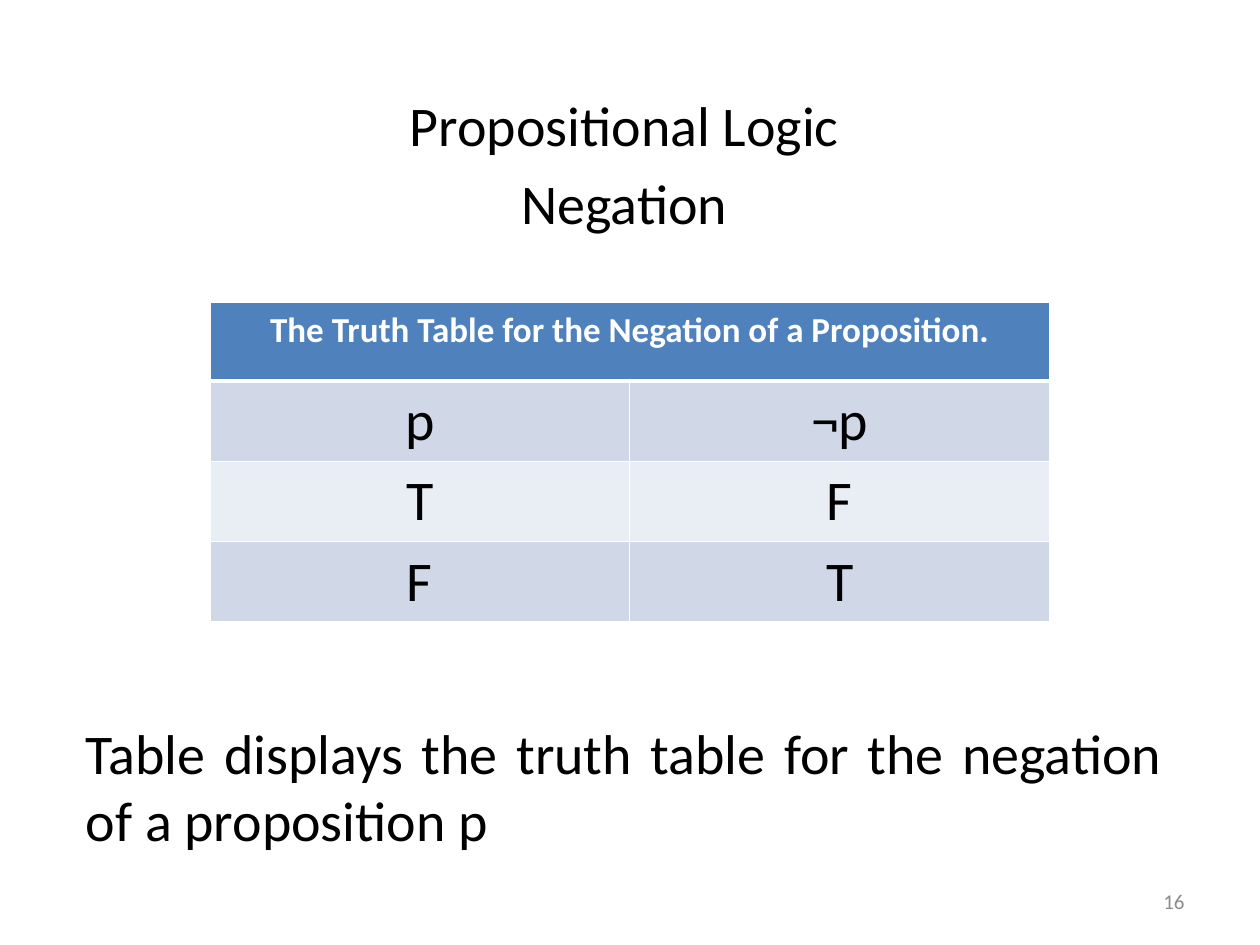
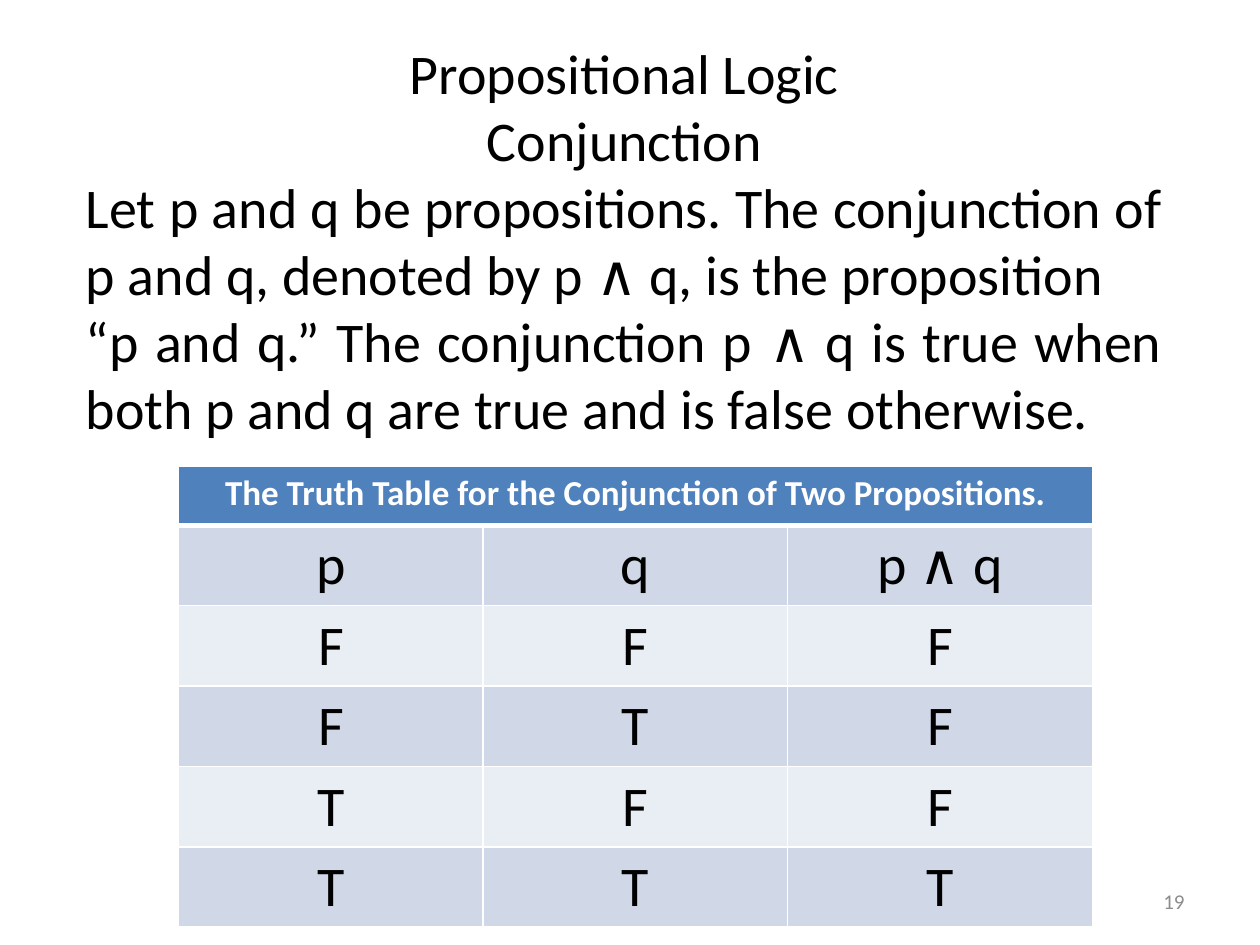
from lxml import etree
from pptx import Presentation
from pptx.dml.color import RGBColor
from pptx.enum.text import MSO_ANCHOR, MSO_AUTO_SIZE, PP_ALIGN
from pptx.oxml.ns import qn
from pptx.util import Cm, Pt

CENTER, RIGHT, JUSTIFY = PP_ALIGN.CENTER, PP_ALIGN.RIGHT, PP_ALIGN.JUSTIFY
TOP, MIDDLE = MSO_ANCHOR.TOP, MSO_ANCHOR.MIDDLE
NO_FIT = MSO_AUTO_SIZE.NONE

BLACK = RGBColor(0x00, 0x00, 0x00)
WHITE = RGBColor(0xFF, 0xFF, 0xFF)
GRAY = RGBColor(0x8C, 0x8C, 0x8C)
HEADER = RGBColor(0x4F, 0x81, 0xBD)
BANDS = (RGBColor(0xD0, 0xD8, 0xE8), RGBColor(0xE9, 0xED, 0xF4))

FONT = "Calibri"
LEFT, WIDTH = 1.48, 22.22  # text column, in cm
ROW = 1.62                 # table body row, in cm


def write(tf, lines, size=32, color=BLACK, bold=False, align=CENTER,
          anchor=TOP, gap=0):
    """Fill a text frame, one paragraph a line, with gap points between."""
    tf.word_wrap = True
    tf.vertical_anchor = anchor
    for i, line in enumerate(lines):
        p = tf.add_paragraph() if i else tf.paragraphs[0]
        p.alignment = align
        p.space_before = Pt(gap if i else 0)
        r = p.add_run()
        r.text = line
        r.font.name, r.font.size, r.font.bold = FONT, Pt(size), bold
        r.font.color.rgb = color


def set_borders(cell, **widths):
    """Give a cell white borders; widths in points for L, R, T and B."""
    tcPr = cell._tc.get_or_add_tcPr()
    for side in "LRTB":
        ln = etree.SubElement(tcPr, qn("a:ln" + side),
                              w=str(Pt(widths.get(side, 1))))
        fill = etree.SubElement(ln, qn("a:solidFill"))
        etree.SubElement(fill, qn("a:srgbClr"), val=str(WHITE))


class Deck:
    def __init__(self):
        self.prs = Presentation()
        self.prs.slide_width, self.prs.slide_height = Cm(25.4), Cm(19.05)
        self.s = None

    def slide(self, number):
        self.s = self.prs.slides.add_slide(self.prs.slide_layouts[5])
        self.text([number], 18.2, 17.66, 5.93, 1.01,
                  size=12, color=GRAY, align=RIGHT, anchor=MIDDLE)

    def title(self, lines, top, gap=0):
        sp = self.s.shapes.title
        sp.left, sp.top = Cm(LEFT), Cm(top)
        sp.width, sp.height = Cm(WIDTH), Cm(3)
        sp.text_frame.auto_size = NO_FIT
        write(sp.text_frame, lines, gap=gap)

    def text(self, lines, left, top, width, height, **fmt):
        sp = self.s.shapes.add_textbox(Cm(left), Cm(top), Cm(width), Cm(height))
        write(sp.text_frame, lines, **fmt)

    def truth_table(self, caption, rows, left, top, width, header_height):
        n = len(rows[0])
        height = header_height + ROW * len(rows)
        table = self.s.shapes.add_table(
            len(rows) + 1, n, Cm(left), Cm(top), Cm(width), Cm(height)).table
        for col in table.columns:
            col.width = Cm(width / n)
        for i, row in enumerate(table.rows):
            row.height = Cm(ROW if i else header_height)

        # Caption row across all columns
        for cell in table.rows[0].cells:
            set_borders(cell, B=3)
            cell.fill.solid()
            cell.fill.fore_color.rgb = HEADER
        table.cell(0, 0).merge(table.cell(0, n - 1))
        write(table.cell(0, 0).text_frame, [caption],
              size=20, color=WHITE, bold=True)

        # Banded truth values
        for i, values in enumerate(rows):
            for j, value in enumerate(values):
                cell = table.cell(i + 1, j)
                set_borders(cell, T=1 if i else 3)
                cell.fill.solid()
                cell.fill.fore_color.rgb = BANDS[i % 2]
                write(cell.text_frame, [value])


deck = Deck()

# Negation
deck.slide("16")
deck.title(["Propositional Logic", "Negation"], 1.69, gap=6.4)
deck.text(["Table displays the truth table for the negation of a proposition p"],
          LEFT, 14.35, WIDTH, 3, align=JUSTIFY)
deck.truth_table("The Truth Table for the Negation of a Proposition.",
                 [("p", "¬p"), "TF", "FT"], 4.23, 6.1, 16.93, 1.58)

# Conjunction
deck.slide("19")
deck.title(["Propositional Logic", "Conjunction"], 0.64)
deck.text(["Let p and q be propositions. The conjunction of p and q, "
           "denoted by p ∧ q, is the proposition",
           "“p and q.” The conjunction p ∧ q is true when both p and q "
           "are true and is false otherwise."],
          LEFT, 3.35, WIDTH, 5.7, align=JUSTIFY)
deck.truth_table("The Truth Table for the Conjunction of Two Propositions.",
                 [("p", "q", "p ∧ q"), "FFF", "FTF", "TFF", "TTT"],
                 3.6, 9.4, 18.42, 1.19)

deck.prs.save("out.pptx")
